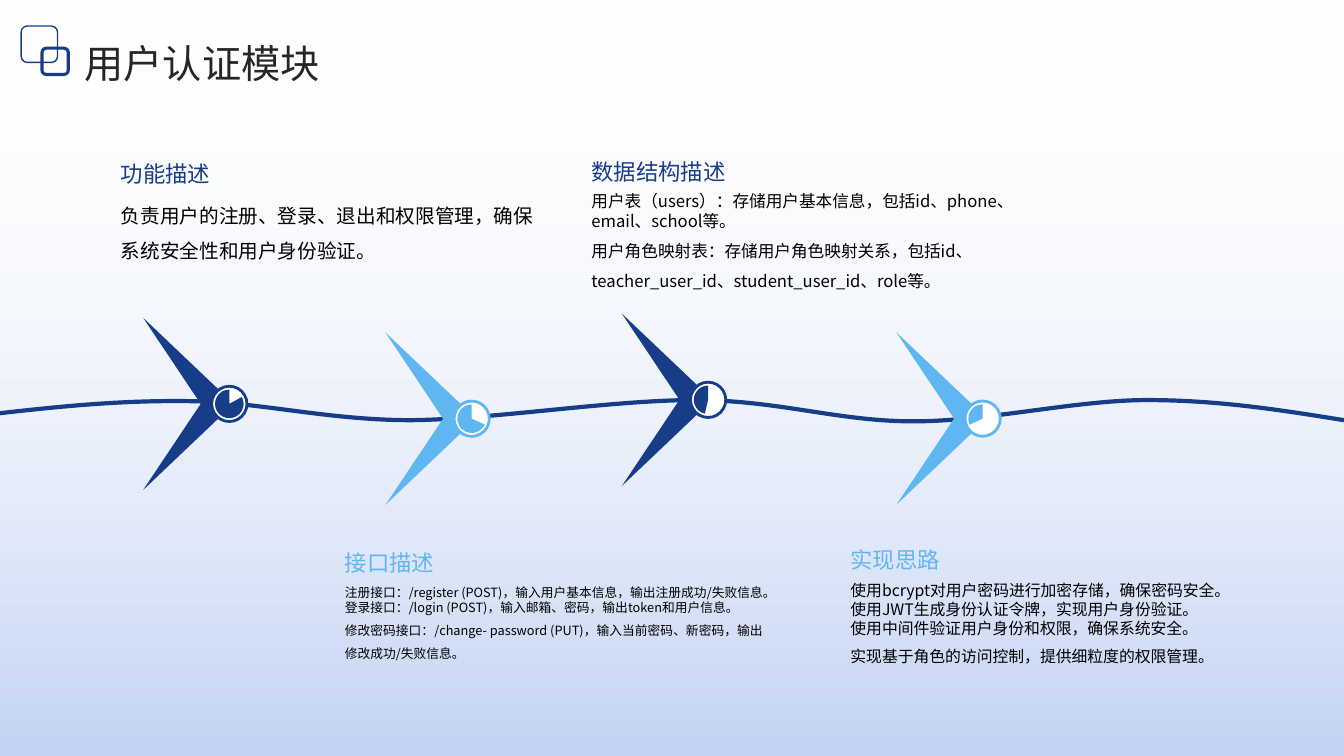
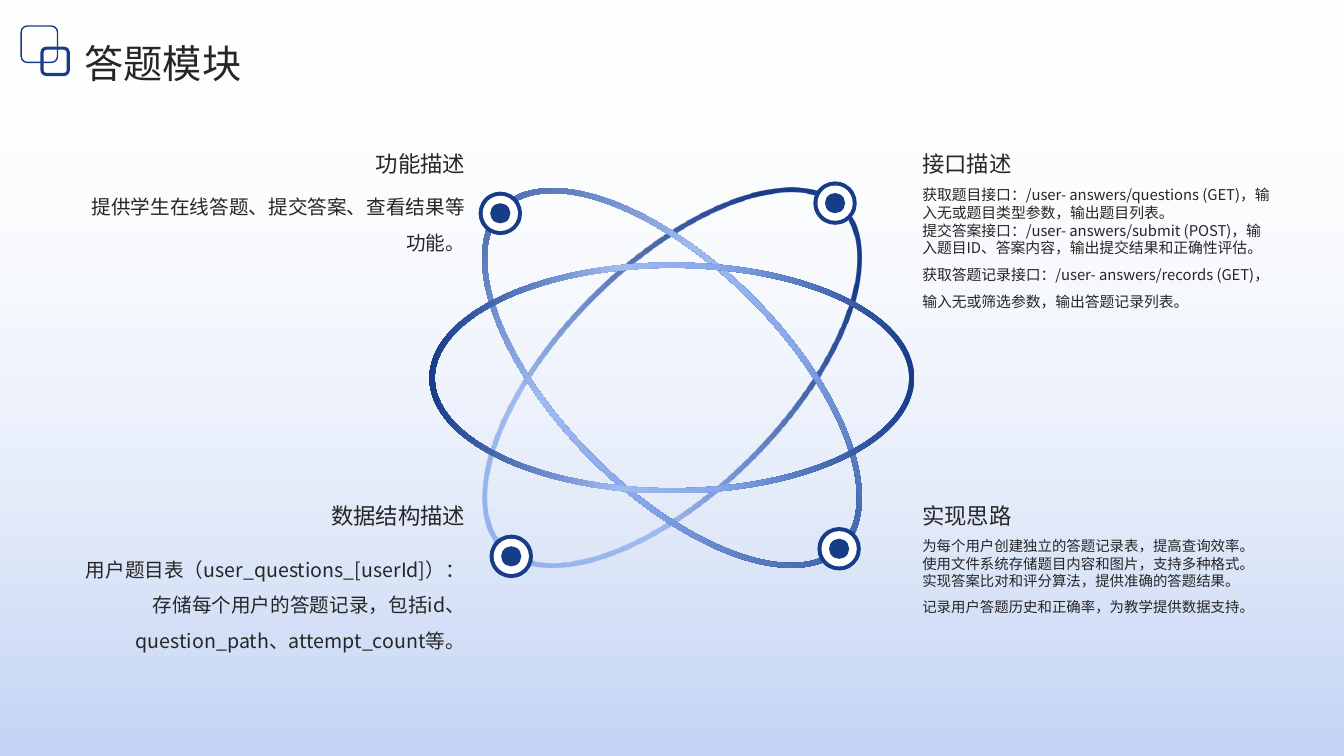
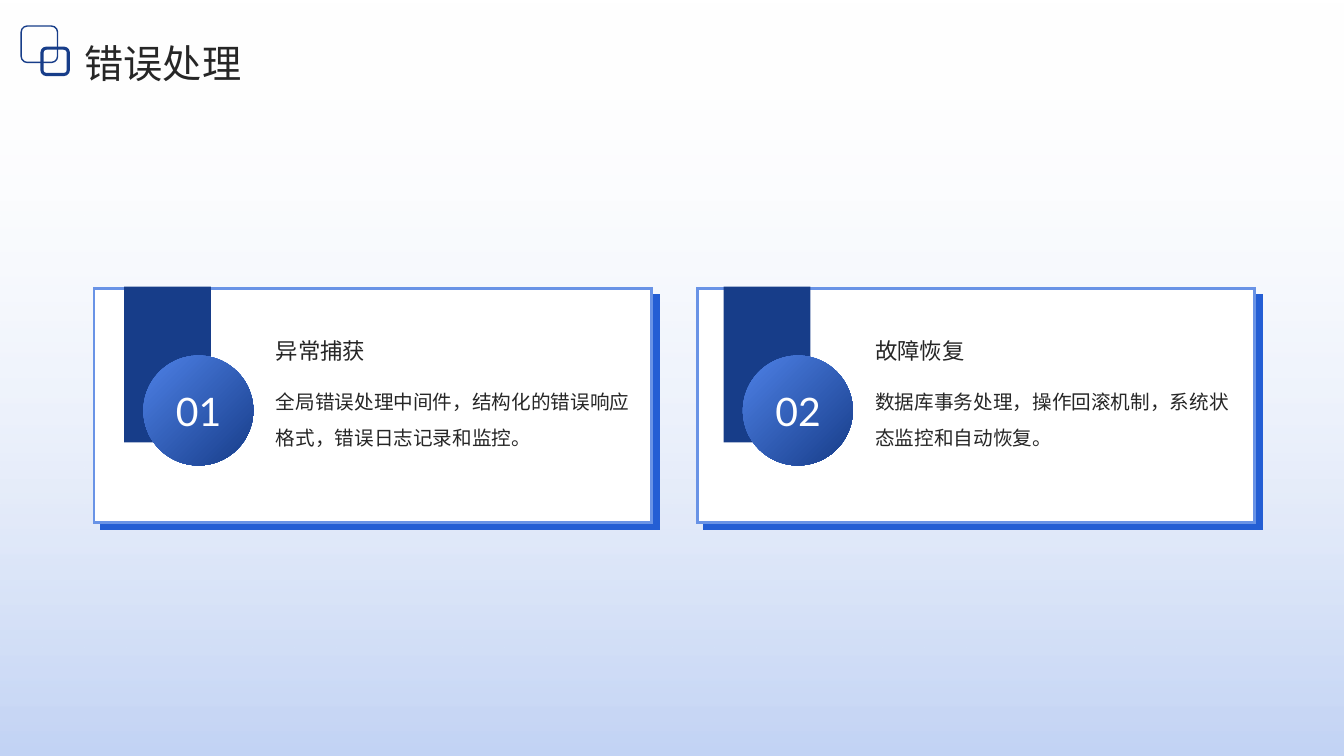
from dataclasses import dataclass
from typing import Optional

import lxml.etree
import pptx
import pptx.dml.color
import pptx.enum.shapes
import pptx.enum.text
import pptx.oxml.ns
import pptx.util

Pt = pptx.util.Pt
SHAPE = pptx.enum.shapes.MSO_SHAPE
ANCHOR = pptx.enum.text.MSO_ANCHOR
ALIGN = pptx.enum.text.PP_ALIGN
qn = pptx.oxml.ns.qn
Point = tuple[float, float]

# Shared style
NAVY, SKY, INK = "173D89", "5FB6F1", "262626"
BLACK, WHITE, PALE = "000000", "FFFFFF", "C3D4F5"
FONT, NUMBER_FONT = "Noto Sans CJK SC", "Lato"
WIDTH, HEIGHT = 960, 540
HEADING_SIZE, BODY_SIZE = 16, 14


@dataclass
class Box:
    left: float
    top: float
    width: float
    height: float


@dataclass
class Stop:
    position: int  # percent
    color: str
    opacity: int = 100  # percent


@dataclass
class TextStyle:
    size: float
    color: str = INK
    spacing: float = 1.5
    anchor: ANCHOR = ANCHOR.TOP
    align: ALIGN = ALIGN.LEFT
    font: str = FONT


@dataclass
class TextBlock:
    heading: str
    paragraphs: list[str]
    heading_box: Box
    body_box: Box
    size: float = BODY_SIZE
    color: str = INK
    align: ALIGN = ALIGN.LEFT


@dataclass
class Fin:
    left: float
    middle: float
    color: str
    pie_start: float  # degrees


@dataclass
class Ring:
    rotation: float
    stops: list[Stop]


@dataclass
class Card:
    number: str
    heading: str
    body: str
    left: float
    content_left: float


def rgb(color: str) -> pptx.dml.color.RGBColor:
    return pptx.dml.color.RGBColor.from_string(color)


def set_gradient(shape, stops: list[Stop], angle: float) -> None:
    """Fill with gradient stops; the angle runs clockwise."""
    shape.fill.gradient()
    shape.fill.gradient_angle = -angle % 360
    stop_list = shape._element.xpath(".//a:gsLst")[0]
    for old_stop in list(stop_list):
        stop_list.remove(old_stop)
    for stop in stops:
        entry = lxml.etree.SubElement(stop_list, qn("a:gs"), pos=str(stop.position * 1000))
        color = lxml.etree.SubElement(entry, qn("a:srgbClr"), val=stop.color)
        if stop.opacity < 100:
            lxml.etree.SubElement(color, qn("a:alpha"), val=str(stop.opacity * 1000))


def style_shape(shape, fill: Optional[str], line: Optional[str], line_width: float) -> None:
    shape.shadow.inherit = False
    if fill:
        shape.fill.solid()
        shape.fill.fore_color.rgb = rgb(fill)
    else:
        shape.fill.background()
    if line:
        shape.line.color.rgb = rgb(line)
        shape.line.width = Pt(line_width)
    else:
        shape.line.fill.background()


def add_shape(slide, kind: SHAPE, box: Box, fill: Optional[str] = None,
              line: Optional[str] = None, line_width: float = 1):
    shape = slide.shapes.add_shape(
        kind, Pt(box.left), Pt(box.top), Pt(box.width), Pt(box.height))
    style_shape(shape, fill, line, line_width)
    return shape


def add_circle(slide, center_x: float, center_y: float, size: float,
               fill: str, line: Optional[str] = None, kind: SHAPE = SHAPE.OVAL):
    box = Box(center_x - size / 2, center_y - size / 2, size, size)
    return add_shape(slide, kind, box, fill, line, 2)


def add_outline(slide, points: list[Point], closed: bool):
    corners = [(Pt(x), Pt(y)) for x, y in points]
    builder = slide.shapes.build_freeform(*corners[0])
    builder.add_line_segments(corners[1:], close=closed)
    return builder.convert_to_shape()


def write_text(shape, paragraphs: list[str], style: TextStyle) -> None:
    """Only the last paragraph takes the wide spacing; earlier ones are single."""
    frame = shape.text_frame
    frame.word_wrap = True
    frame.auto_size = pptx.enum.text.MSO_AUTO_SIZE.NONE
    frame.vertical_anchor = style.anchor
    frame.margin_left = frame.margin_top = frame.margin_right = frame.margin_bottom = 0
    frame.text = "\n".join(paragraphs)
    for paragraph in frame.paragraphs:
        paragraph.alignment = style.align
        paragraph.line_spacing = 1.0
        paragraph.font.size = Pt(style.size)
        paragraph.font.color.rgb = rgb(style.color)
        paragraph.font.name = style.font
        properties = paragraph._p.xpath("./a:pPr/a:defRPr")[0]
        lxml.etree.SubElement(properties, qn("a:ea"), typeface=style.font)
    frame.paragraphs[-1].line_spacing = style.spacing


def add_text(slide, box: Box, paragraphs: list[str], style: TextStyle) -> None:
    shape = slide.shapes.add_textbox(
        Pt(box.left), Pt(box.top), Pt(box.width), Pt(box.height))
    write_text(shape, paragraphs, style)


def add_block(slide, block: TextBlock, spacing: float, anchor: ANCHOR) -> None:
    add_text(slide, block.heading_box, [block.heading],
             TextStyle(HEADING_SIZE, block.color, spacing, anchor, block.align))
    body_color = INK if block.color == INK else BLACK
    add_text(slide, block.body_box, block.paragraphs,
             TextStyle(block.size, body_color, align=block.align))


def add_titled_slide(presentation, title: str):
    slide = presentation.slides.add_slide(presentation.slide_layouts[5])
    # Backdrop, kept behind the title
    backdrop = add_shape(slide, SHAPE.RECTANGLE, Box(0, 0, WIDTH, HEIGHT), WHITE)
    set_gradient(backdrop, [Stop(0, WHITE, 0), Stop(100, PALE)], 90)
    shape = slide.shapes.title
    backdrop._element.addnext(shape._element)
    shape.left, shape.top, shape.width, shape.height = Pt(60.5), Pt(18), Pt(817), Pt(42.5)
    write_text(shape, [title], TextStyle(28, spacing=1.3))
    # Corner squares
    add_shape(slide, SHAPE.ROUNDED_RECTANGLE, Box(15.1, 18.6, 26, 26), None, NAVY, 1)
    add_shape(slide, SHAPE.ROUNDED_RECTANGLE, Box(30, 34.4, 18.8, 18.8), None, NAVY, 2.25)
    return slide


# Slide 1: wave with fins
WAVE_START = (0, 295.2)
WAVE_CURVES = [
    ((43.9, 290.2), (87.8, 285.8), (136.8, 286.6)),
    ((185.8, 287.3), (234, 300.2), (293.8, 300.2)),
    ((353.5, 299.5), (436.3, 285.8), (496.1, 285.8)),
    ((555.8, 285.8), (598.3, 301), (652.3, 301)),
    ((706.3, 301), (768.2, 285.8), (819.4, 285.8)),
    ((870.5, 285.8), (915.1, 293), (960, 300.2)),
]
FINS = [
    Fin(102.2, 288.5, NAVY, 331.18),
    Fin(275.3, 299.1, SKY, 23.5),
    Fin(444.2, 285.6, NAVY, 103.22),
    Fin(640.3, 299, SKY, 154.19),
]
AUTH_BLOCKS = [
    TextBlock("功能描述", ["负责用户的注册、登录、退出和权限管理，确保系统安全性和用户身份验证。"],
              Box(86.4, 82.5, 304.6, 51), Box(86.4, 137, 304.6, 88), BODY_SIZE, NAVY),
    TextBlock("数据结构描述", [
        "用户表（users）：存储用户基本信息，包括id、phone、email、school等。",
        "用户角色映射表：存储用户角色映射关系，包括id、teacher_user_id、student_user_id、role等。",
    ], Box(422.5, 81.1, 304.6, 51), Box(422.5, 136, 304.6, 88), 11.9, NAVY),
    TextBlock("接口描述", [
        "注册接口：/register (POST)，输入用户基本信息，输出注册成功/失败信息。",
        "登录接口：/login (POST)，输入邮箱、密码，输出token和用户信息。",
        "修改密码接口：/change- password (PUT)，输入当前密码、新密码，输出修改成功/失败信息。",
    ], Box(246.4, 360.5, 304.6, 51), Box(246.4, 417.6, 304.6, 83), 9.1, SKY),
    TextBlock("实现思路", [
        "使用bcrypt对用户密码进行加密存储，确保密码安全。",
        "使用JWT生成身份认证令牌，实现用户身份验证。",
        "使用中间件验证用户身份和权限，确保系统安全。",
        "实现基于角色的访问控制，提供细粒度的权限管理。",
    ], Box(607.5, 358.3, 304.6, 51), Box(607.5, 414.7, 304.6, 86), 11.3, SKY),
]


def add_wave(slide) -> None:
    """Draw the curve ends as a freeform, then bend each segment."""
    ends = [WAVE_START] + [curve[-1] for curve in WAVE_CURVES]
    wave = add_outline(slide, ends, False)
    style_shape(wave, None, NAVY, 3)
    segments = wave._element.xpath(".//a:lnTo")
    for segment, curve in zip(segments, WAVE_CURVES):
        bend = lxml.etree.Element(qn("a:cubicBezTo"))
        for x, y in curve:
            lxml.etree.SubElement(bend, qn("a:pt"), x=str(Pt(x) - wave.left),
                                  y=str(Pt(y) - wave.top))
        segment.getparent().replace(segment, bend)


def add_fin(slide, fin: Fin) -> None:
    left, middle = fin.left, fin.middle
    outline = [(left, middle - 61.6), (left + 64.8, middle),
               (left, middle + 61.6), (left + 41.2, middle)]
    style_shape(add_outline(slide, outline, True), fin.color, None, 0)
    center = left + 61.6
    add_circle(slide, center, middle, 25.2, WHITE, fin.color)
    pie = add_circle(slide, center, middle, 20.4, fin.color, kind=SHAPE.PIE)
    # Angles are stored in 60000ths of a degree, adjustments in 100000ths
    pie.adjustments[0] = fin.pie_start * 0.6
    pie.adjustments[1] = 270 * 0.6


def build_authentication(presentation) -> None:
    slide = add_titled_slide(presentation, "用户认证模块")
    add_wave(slide)
    for fin in FINS:
        add_fin(slide, fin)
    for block in AUTH_BLOCKS:
        add_block(slide, block, 1.3, ANCHOR.BOTTOM)


# Slide 2: atom
TWO_ENDED = [Stop(0, NAVY), Stop(41, "87A8EB"), Stop(61, "9FBAEF"), Stop(100, NAVY)]
RINGS = [
    Ring(45, [Stop(0, PALE, 52), Stop(0, "87A8EB"), Stop(33, "9FBAEF"), Stop(77, NAVY)]),
    Ring(315, TWO_ENDED),
    Ring(270, TWO_ENDED),
]
ELECTRONS = [(365.2, 397.4), (596.5, 145.1), (599.4, 392), (357.4, 152.4)]
ELECTRON_LAYERS = [(31, NAVY), (25.2, WHITE), (14.4, NAVY)]
ANSWER_BLOCKS = [
    TextBlock("功能描述", ["提供学生在线答题、提交答案、查看结果等功能。"],
              Box(53.3, 94.3, 279, 41), Box(52.3, 131.2, 280, 92), align=ALIGN.RIGHT),
    TextBlock("数据结构描述", [
        "用户题目表（user_questions_[userId]）：存储每个用户的答题记录，包括id、question_path、attempt_count等。",
    ], Box(53.3, 345.6, 279, 41), Box(52.3, 390.2, 280, 93), align=ALIGN.RIGHT),
    TextBlock("接口描述", [
        "获取题目接口：/user- answers/questions (GET)，输入无或题目类型参数，输出题目列表。",
        "提交答案接口：/user- answers/submit (POST)，输入题目ID、答案内容，输出提交结果和正确性评估。",
        "获取答题记录接口：/user- answers/records (GET)，输入无或筛选参数，输出答题记录列表。",
    ], Box(658.8, 94.3, 248.4, 41), Box(658.8, 132.6, 248.4, 111), 10.6),
    TextBlock("实现思路", [
        "为每个用户创建独立的答题记录表，提高查询效率。",
        "使用文件系统存储题目内容和图片，支持多种格式。",
        "实现答案比对和评分算法，提供准确的答题结果。",
        "记录用户答题历史和正确率，为教学提供数据支持。",
    ], Box(658.8, 345.6, 248.4, 41), Box(658.8, 383.8, 240.5, 95), 10.3),
]


def build_answers(presentation) -> None:
    slide = add_titled_slide(presentation, "答题模块")
    for ring in RINGS:
        shape = add_shape(slide, SHAPE.DONUT, Box(397.5, 96.8, 165, 346.4))
        shape.adjustments[0] = 0.023
        shape.rotation = ring.rotation
        set_gradient(shape, ring.stops, 270)
    for center_x, center_y in ELECTRONS:
        for size, color in ELECTRON_LAYERS:
            add_circle(slide, center_x, center_y, size, color)
    for block in ANSWER_BLOCKS:
        add_block(slide, block, 1.2, ANCHOR.MIDDLE)


# Slide 3: cards
CARDS = [
    Card("01", "异常捕获", "全局错误处理中间件，结构化的错误响应格式，错误日志记录和监控。", 67.2, 88.7),
    Card("02", "故障恢复", "数据库事务处理，操作回滚机制，系统状态监控和自动恢复。", 498.2, 516.9),
]


def add_offset_shadow(shape, color: str, distance: float, angle: float) -> None:
    effects = shape._element.spPr.find(qn("a:effectLst"))
    shadow = lxml.etree.SubElement(
        effects, qn("a:outerShdw"), blurRad="0", dist=str(int(Pt(distance))),
        dir=str(int(angle * 60000)), algn="tl", rotWithShape="0")
    lxml.etree.SubElement(shadow, qn("a:srgbClr"), val=color)


def add_card(slide, card: Card) -> None:
    panel = add_shape(slide, SHAPE.RECTANGLE, Box(card.left, 206, 398.2, 167),
                      WHITE, "6993E6", 2)
    # Sharp corners
    lxml.etree.SubElement(panel._element.spPr.find(qn("a:ln")), qn("a:miter"), lim="800000")
    add_offset_shadow(panel, "245ED4", 7, 45)
    left = card.content_left
    add_shape(slide, SHAPE.RECTANGLE, Box(left, 204.7, 62, 111.4), NAVY)
    badge = add_circle(slide, left + 53, 293.2, 78.5, NAVY)
    set_gradient(badge, [Stop(6, "4B7DE1"), Stop(100, NAVY)], 45)
    add_text(slide, Box(left + 7.8, 262.1, 90.7, 59), [card.number], TextStyle(
        28, WHITE, 1.1, ANCHOR.MIDDLE, ALIGN.CENTER, NUMBER_FONT))
    block = TextBlock(card.heading, [card.body], Box(left + 108.4, 217.4, 247, 42.5),
                      Box(left + 108.4, 270.4, 256.3, 91.4))
    add_block(slide, block, 1.5, ANCHOR.BOTTOM)


def build_errors(presentation) -> None:
    slide = add_titled_slide(presentation, "错误处理")
    for card in CARDS:
        add_card(slide, card)


def main() -> None:
    presentation = pptx.Presentation()
    presentation.slide_width, presentation.slide_height = Pt(WIDTH), Pt(HEIGHT)
    build_authentication(presentation)
    build_answers(presentation)
    build_errors(presentation)
    presentation.save("out.pptx")


if __name__ == "__main__":
    main()
